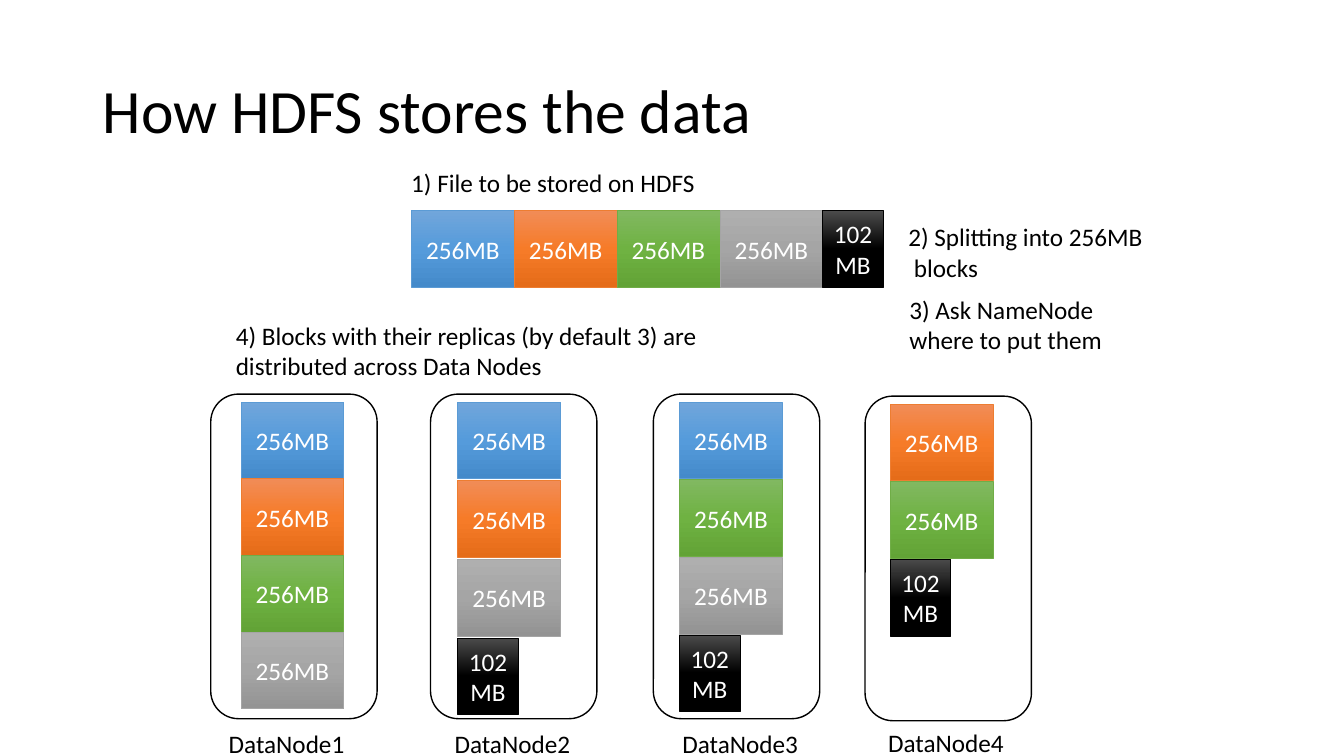
import copy
from dataclasses import dataclass

import pptx
import pptx.dml.color
import pptx.enum.shapes
import pptx.enum.text
import pptx.util
from pptx.util import Inches


@dataclass(frozen=True)
class Theme:
    font: str = "Calibri"
    title_size: int = 44
    body_size: int = 18
    text: str = "000000"
    block_text: str = "FFFFFF"
    node_fill: str = "FFFFFF"
    node_line: str = "000000"


@dataclass(frozen=True)
class Block:
    text: str
    width: float
    gradient: tuple
    line: str


@dataclass(frozen=True)
class DataNode:
    name: str
    left: float
    top: float
    label_left: float
    label_top: float
    stack_left: float
    stack_top: float
    pitch: float
    blocks: tuple


THEME = Theme()
BLOCK_HEIGHT = 0.76

BLUE = Block("256MB", 1.02, ("71A6DB", "559BDB", "448ACA"), "5B9BD5")
ORANGE = Block("256MB", 1.02, ("F18C57", "F67B28", "E56C19"), "ED7D31")
GREEN = Block("256MB", 1.02, ("81B861", "6FB242", "62A336"), "70AD47")
GRAY = Block("256MB", 1.02, ("AFAFAF", "A5A5A5", "939393"), "A5A5A5")
BLACK = Block("102MB", 0.6, ("4B4B4B", "000000", "000000"), "000000")

FILE_BLOCKS = (BLUE, ORANGE, GREEN, GRAY, BLACK)

DATA_NODES = (
    DataNode("DataNode1", 2.09, 3.91, 2.17, 7.18, 2.39, 3.99, 0.76, (BLUE, ORANGE, GREEN, GRAY)),
    DataNode("DataNode2", 4.27, 3.91, 4.41, 7.18, 4.54, 3.99, 0.78, (BLUE, ORANGE, GRAY, BLACK)),
    DataNode("DataNode3", 6.48, 3.91, 6.67, 7.18, 6.74, 3.99, 0.77, (BLUE, GREEN, GRAY, BLACK)),
    DataNode("DataNode4", 8.58, 3.93, 8.71, 7.17, 8.83, 4.01, 0.77, (ORANGE, GREEN, BLACK)),
)

NOTES = (
    (("1) File to be stored on HDFS",), 3.98, 1.61, 4.15, 0.4),
    (("2) Splitting into 256MB", " blocks"), 8.91, 2.15, 2.61, 0.71),
    (("3) Ask NameNode where to put them",), 8.92, 2.87, 2.61, 0.71),
    (("4) Blocks with their replicas (by default 3) are distributed across Data Nodes",),
     2.24, 3.13, 5.05, 0.71),
)


def rgb(value):
    return pptx.dml.color.RGBColor.from_string(value)


def add_run(paragraph, text, size, color):
    run = paragraph.add_run()
    run.text = text
    run.font.name = THEME.font
    run.font.size = pptx.util.Pt(size)
    run.font.color.rgb = rgb(color)


def add_text(slide, lines, left, top, width, height, size=THEME.body_size):
    box = slide.shapes.add_textbox(Inches(left), Inches(top), Inches(width), Inches(height))
    frame = box.text_frame
    frame.word_wrap = True
    for index, line in enumerate(lines):
        paragraph = frame.add_paragraph() if index else frame.paragraphs[0]
        add_run(paragraph, line, size, THEME.text)
    return frame


def add_title(slide, text):
    frame = add_text(slide, (text,), 0.92, 0.4, 11.5, 1.45, THEME.title_size)
    frame.vertical_anchor = pptx.enum.text.MSO_ANCHOR.MIDDLE
    frame.paragraphs[0].line_spacing = 0.9


def add_outlined_shape(slide, kind, left, top, width, height, line, line_width):
    shape = slide.shapes.add_shape(kind, Inches(left), Inches(top), Inches(width), Inches(height))
    shape.shadow.inherit = False
    shape.line.color.rgb = rgb(line)
    shape.line.width = pptx.util.Pt(line_width)
    return shape


def fill_gradient(shape, colors):
    shape.fill.gradient()
    shape.fill.gradient_angle = 270
    first_stop = shape._element.spPr.find(".//" + pptx.oxml.ns.qn("a:gs"))
    first_stop.addnext(copy.deepcopy(first_stop))
    for index, (stop, color) in enumerate(zip(shape.fill.gradient_stops, colors)):
        stop.position = index / 2
        stop.color.rgb = rgb(color)


def add_block(slide, block, left, top):
    kind = pptx.enum.shapes.MSO_SHAPE.RECTANGLE
    shape = add_outlined_shape(slide, kind, left, top, block.width, BLOCK_HEIGHT, block.line, 0.5)
    fill_gradient(shape, block.gradient)
    frame = shape.text_frame
    frame.word_wrap = True
    frame.vertical_anchor = pptx.enum.text.MSO_ANCHOR.MIDDLE
    paragraph = frame.paragraphs[0]
    paragraph.alignment = pptx.enum.text.PP_ALIGN.CENTER
    add_run(paragraph, block.text, THEME.body_size, THEME.block_text)


def add_file(slide, left, top):
    for block in FILE_BLOCKS:
        add_block(slide, block, left, top)
        left += block.width


def add_data_node(slide, node):
    kind = pptx.enum.shapes.MSO_SHAPE.ROUNDED_RECTANGLE
    shape = add_outlined_shape(slide, kind, node.left, node.top, 1.65, 3.22, THEME.node_line, 1)
    shape.fill.solid()
    shape.fill.fore_color.rgb = rgb(THEME.node_fill)
    add_text(slide, (node.name,), node.label_left, node.label_top, 1.38, 0.4)
    for index, block in enumerate(node.blocks):
        add_block(slide, block, node.stack_left, node.stack_top + index * node.pitch)


def main():
    presentation = pptx.Presentation()
    presentation.slide_width = Inches(13.33)
    presentation.slide_height = Inches(7.5)
    slide = presentation.slides.add_slide(presentation.slide_layouts[6])
    add_title(slide, "How HDFS stores the data")
    add_file(slide, 4.08, 2.09)
    for node in DATA_NODES:
        add_data_node(slide, node)
    for note in NOTES:
        add_text(slide, *note)
    presentation.save("out.pptx")


if __name__ == "__main__":
    main()
